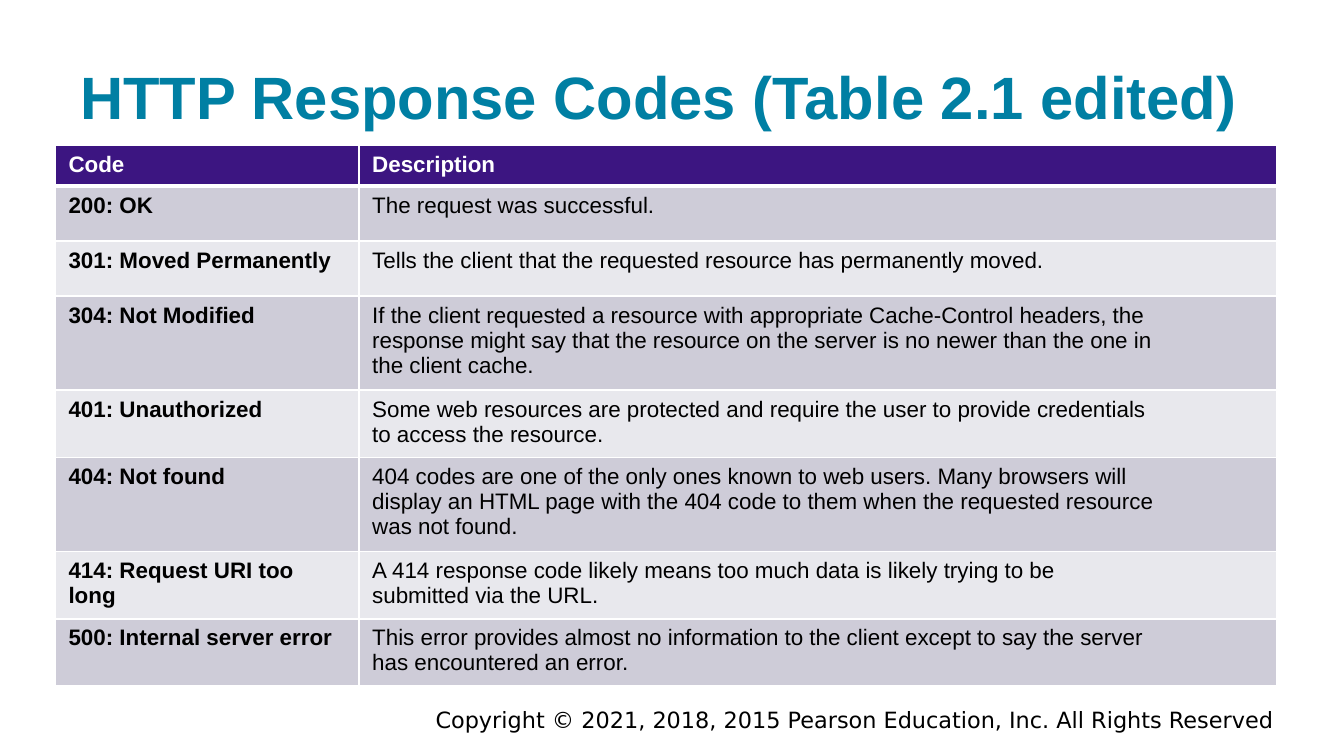
import pptx
import pptx.dml.color
import pptx.enum.text
import pptx.oxml.ns
import pptx.util
from lxml import etree

Pt = pptx.util.Pt
ALIGN = pptx.enum.text.PP_ALIGN
ANCHOR = pptx.enum.text.MSO_ANCHOR

HEADER_FILL = "3C1581"
BAND_FILLS = ("CECCD8", "E8E8ED")
COLUMN_WIDTHS = (162.7, 491.8)
HEADER_HEIGHT, ROW_HEIGHT = 20, 29.5
RESPONSE_CODES = [
    ("Code", "Description"),
    ("200: OK", "The request was successful."),
    ("301: Moved Permanently",
     "Tells the client that the requested resource has permanently moved."),
    ("304: Not Modified",
     "If the client requested a resource with appropriate Cache-Control headers, the\n"
     "response might say that the resource on the server is no newer than the one in\n"
     "the client cache."),
    ("401: Unauthorized",
     "Some web resources are protected and require the user to provide credentials\n"
     "to access the resource."),
    ("404: Not found",
     "404 codes are one of the only ones known to web users. Many browsers will\n"
     "display an HTML page with the 404 code to them when the requested resource\n"
     "was not found."),
    ("414: Request URI too long",
     "A 414 response code likely means too much data is likely trying to be\n"
     "submitted via the URL."),
    ("500: Internal server error",
     "This error provides almost no information to the client except to say the server\n"
     "has encountered an error."),
]


def rgb(value):
    return pptx.dml.color.RGBColor.from_string(value)


def write_text(frame, text, color, align=ALIGN.LEFT, **font_values):
    """Fill a text frame, one paragraph per line of text."""
    frame.text = text
    for para in frame.paragraphs:
        para.alignment = align
        for span in para.runs:
            span.font.color.rgb = rgb(color)
            for name, value in font_values.items():
                setattr(span.font, name, value)


def add_text(page, text, place, anchor, inset, color, **text_values):
    box = page.shapes.add_textbox(*map(Pt, place))
    frame_values = {
        "word_wrap": True, "vertical_anchor": anchor,
        "margin_left": Pt(7.2), "margin_right": Pt(7.2),
        "margin_top": Pt(inset), "margin_bottom": Pt(inset),
    }
    for name, value in frame_values.items():
        setattr(box.text_frame, name, value)
    write_text(box.text_frame, text, color, **text_values)


def set_borders(cell, top, bottom):
    """Draw white borders; call before the fill, which must follow them."""
    properties = cell._tc.get_or_add_tcPr()
    qn = pptx.oxml.ns.qn
    for side, width in {"L": 1, "R": 1, "T": top, "B": bottom}.items():
        line = etree.SubElement(properties, qn(f"a:ln{side}"), w=str(Pt(width)))
        fill = etree.SubElement(line, qn("a:solidFill"))
        etree.SubElement(fill, qn("a:srgbClr"), val="FFFFFF")


def add_code_table(page, left, top):
    row_count = len(RESPONSE_CODES)
    height = HEADER_HEIGHT + ROW_HEIGHT * (row_count - 1)
    table = page.shapes.add_table(row_count, len(COLUMN_WIDTHS), Pt(left), Pt(top),
                                  Pt(sum(COLUMN_WIDTHS)), Pt(height)).table
    for column, width in zip(table.columns, COLUMN_WIDTHS):
        column.width = Pt(width)
    for r, texts in enumerate(RESPONSE_CODES):
        is_header = r == 0
        table.rows[r].height = Pt(HEADER_HEIGHT if is_header else ROW_HEIGHT)
        for c, text in enumerate(texts):
            cell = table.cell(r, c)
            set_borders(cell, top=3 if r == 1 else 1, bottom=3 if is_header else 1)
            cell.fill.solid()
            cell.fill.fore_color.rgb = rgb(HEADER_FILL if is_header
                                           else BAND_FILLS[(r - 1) % 2])
            write_text(cell.text_frame, text, "FFFFFF" if is_header else "000000",
                       name="Arial", size=Pt(12), bold=is_header or c == 0)


def main():
    deck = pptx.Presentation()
    deck.slide_width, deck.slide_height = Pt(720), Pt(405)
    page = deck.slides.add_slide(deck.slide_layouts[6])
    add_text(page, "Copyright © 2021, 2018, 2015 Pearson Education, Inc. All Rights Reserved",
             (126, 379.5, 563.8, 11.5), ANCHOR.MIDDLE, 3.6, "000000",
             align=ALIGN.RIGHT, name="DejaVu Sans", size=Pt(12))
    add_text(page, "HTTP Response Codes (Table 2.1 edited)",
             (36, 13, 648, 64.8), ANCHOR.BOTTOM, 7.2, "007FA3",
             name="Arial", size=Pt(32), bold=True)
    add_code_table(page, 29.5, 78)
    deck.save("out.pptx")


if __name__ == "__main__":
    main()
